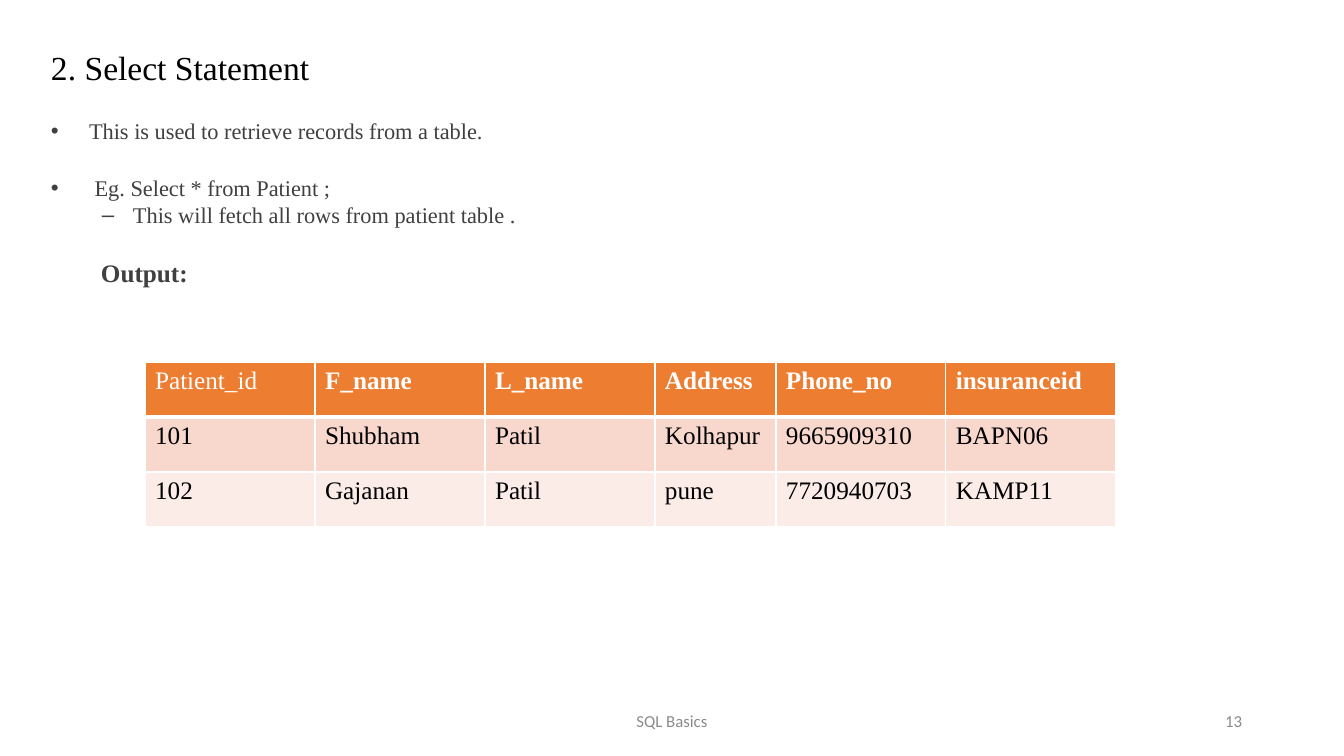
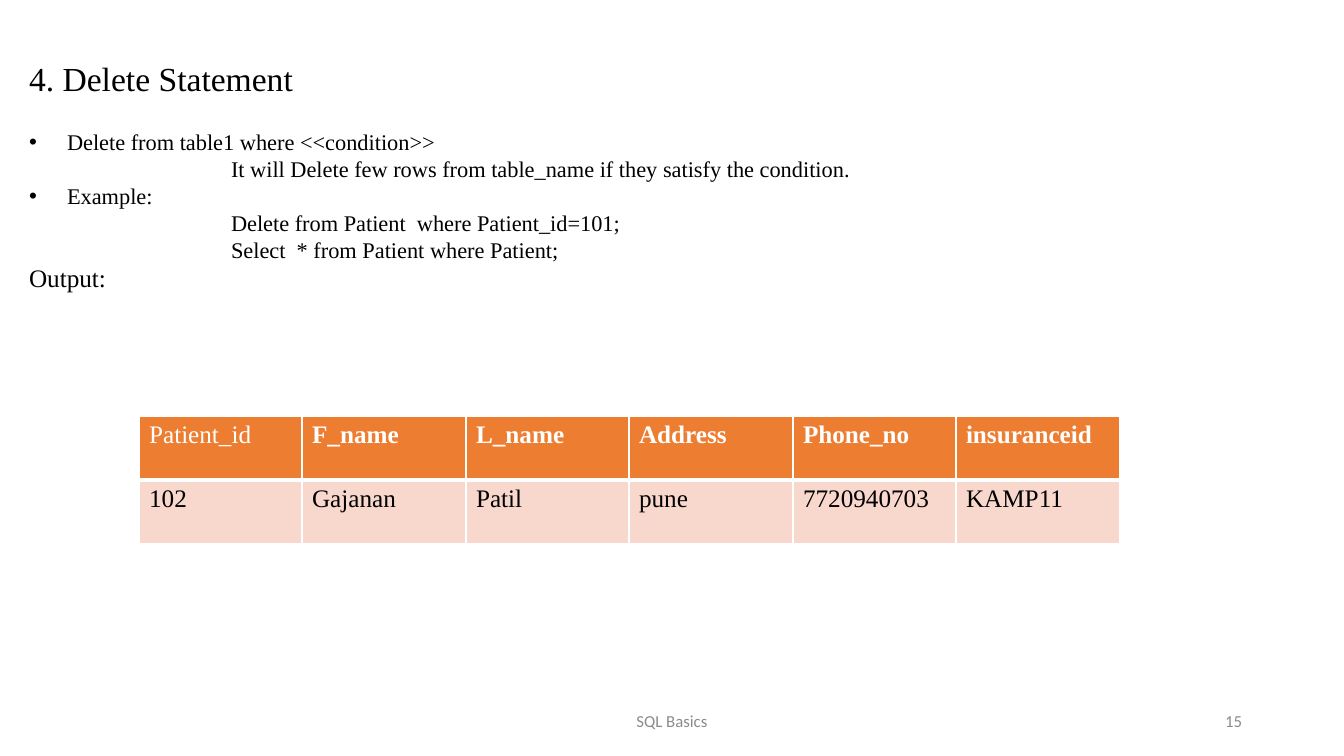
"""Build two slides on the SQL Select and Delete statements."""
from lxml import etree
from pptx import Presentation
from pptx.dml.color import RGBColor
from pptx.enum.text import MSO_ANCHOR, MSO_AUTO_SIZE, PP_ALIGN
from pptx.oxml.ns import qn
from pptx.util import Emu, Pt

LEFT, CENTER, RIGHT = PP_ALIGN.LEFT, PP_ALIGN.CENTER, PP_ALIGN.RIGHT
TOP, MIDDLE = MSO_ANCHOR.TOP, MSO_ANCHOR.MIDDLE
NO_FIT = MSO_AUTO_SIZE.NONE

EMU_PER_PX = 914400 / 100.8
SERIF, SANS = "Times New Roman", "Calibri"
COLORS = {
    "black": "000000",
    "grey": "404040",
    "footer": "8B8B8B",
    "white": "FFFFFF",
    "header": "ED7D31",
    "odd": "F8D7CD",
    "even": "FBECE7",
}
TITLE_LINE = 41
LINE_HEIGHTS = {16: 27, 18: 30}
THIN, THICK = Pt(1), Pt(3)

COLUMNS = ["Patient_id", "F_name", "L_name", "Address", "Phone_no", "insuranceid"]
SHUBHAM = ["101", "Shubham", "Patil", "Kolhapur", "9665909310", "BAPN06"]
GAJANAN = ["102", "Gajanan", "Patil", "pune", "7720940703", "KAMP11"]

# Each line: text, level, left margin, first-line indent, bulleted, space before, size, bold
STATEMENTS = [
    {
        "title": "2. Select Statement",
        "number": "13",
        "left": 51,
        "title_top": 46,
        "body_top": 117,
        "color": "grey",
        "lines": [
            ("This is used to retrieve records from a table.", 0, 38, -38, True, 0, 16, False),
            (" Eg. Select * from Patient ;", 0, 38, -38, True, 30, 16, False),
            ("This will fetch all rows from patient table .", 1, 82, -31, True, 0, 16, False),
            ("Output:", 0, 50, 0, False, 30, 18, True),
        ],
        "table_at": (145, 362),
        "widths": [170, 170, 170, 121, 170, 170],
        "row_height": 55,
        "patients": [SHUBHAM, GAJANAN],
    },
    {
        "title": "4. Delete Statement",
        "number": "15",
        "left": 29,
        "title_top": 57,
        "body_top": 128,
        "color": "black",
        "lines": [
            ("Delete from table1 where <<condition>>", 0, 38, -38, True, 0, 16, False),
            ("It will Delete few rows from table_name if they satisfy the condition.",
             0, 202, 0, False, 0, 16, False),
            ("Example:", 0, 38, -38, True, 0, 16, False),
            ("Delete from Patient  where Patient_id=101;", 0, 202, 0, False, 0, 16, False),
            ("Select  * from Patient where Patient;", 0, 202, 0, False, 0, 16, False),
            ("Output:", 0, 0, 0, False, 0, 18, False),
        ],
        "table_at": (139, 416),
        "widths": [163, 164] * 3,
        "row_height": 64,
        "patients": [GAJANAN],
    },
]
FOOTERS = [("SQL Basics", 445, 454, CENTER), ("{number}", 950, 302, RIGHT)]


def px(length):
    return Emu(round(length * EMU_PER_PX))


def style(paragraph, size, color, font=SERIF, bold=False):
    for run in paragraph.runs:
        run.font.name = font
        run.font.size = Pt(size)
        run.font.bold = bold
        run.font.color.rgb = RGBColor.from_string(COLORS[color])


deck = Presentation()
deck.slide_width, deck.slide_height = px(1344), px(756)

for statement in STATEMENTS:
    slide = deck.slides.add_slide(deck.slide_layouts[1])
    heading, points = slide.shapes.title, slide.placeholders[1]
    placements = [(heading, statement["title_top"], TITLE_LINE), (points, statement["body_top"], 220)]
    for holder, top, height in placements:
        holder.left, holder.top = px(statement["left"]), px(top)
        holder.width, holder.height = px(1190), px(height)
        frame = holder.text_frame
        frame.margin_left = frame.margin_right = frame.margin_top = frame.margin_bottom = 0
        frame.vertical_anchor = TOP
        frame.auto_size = NO_FIT

    heading.text_frame.text = statement["title"]
    title_line = heading.text_frame.paragraphs[0]
    title_line.alignment = LEFT
    title_line.line_spacing = px(TITLE_LINE)
    style(title_line, 24, "black")

    points.text_frame.text = "\n".join(line[0] for line in statement["lines"])
    for paragraph, line in zip(points.text_frame.paragraphs, statement["lines"]):
        level, margin, indent, bulleted, gap, size, bold = line[1:]
        paragraph.level = level
        paragraph.space_before = px(gap)
        paragraph.line_spacing = px(LINE_HEIGHTS[size])
        properties = paragraph._p.get_or_add_pPr()
        properties.set("marL", str(px(margin)))
        properties.set("indent", str(px(indent)))
        if not bulleted:
            etree.SubElement(properties, qn("a:buNone"))
        style(paragraph, size, statement["color"], bold=bold)

    records = [COLUMNS] + statement["patients"]
    left, top = statement["table_at"]
    row_height = statement["row_height"]
    patients = slide.shapes.add_table(
        len(records), len(COLUMNS), px(left), px(top),
        px(sum(statement["widths"])), px(row_height * len(records))).table
    patients.horz_banding = False
    for column, width in zip(patients.columns, statement["widths"]):
        column.width = px(width)
    for r, record in enumerate(records):
        patients.rows[r].height = px(row_height)
        fill = "header" if r == 0 else ("odd" if r % 2 else "even")
        for c, value in enumerate(record):
            cell = patients.cell(r, c)
            cell.text_frame.text = value
            style(cell.text_frame.paragraphs[0], 18, "black" if r else "white",
                  bold=r == 0 and c > 0)
            cell.fill.solid()
            cell.fill.fore_color.rgb = RGBColor.from_string(COLORS[fill])
            borders = {
                "a:lnL": THIN,
                "a:lnR": THIN,
                "a:lnT": THICK if r == 1 else THIN,
                "a:lnB": THICK if r == 0 else THIN,
            }
            for position, (side, weight) in enumerate(borders.items()):
                border = etree.Element(qn(side), w=str(weight))
                paint = etree.SubElement(border, qn("a:solidFill"))
                etree.SubElement(paint, qn("a:srgbClr"), val=COLORS["white"])
                cell._tc.get_or_add_tcPr().insert(position, border)

    for text, left, width, alignment in FOOTERS:
        footer = slide.shapes.add_textbox(px(left), px(701), px(width), px(40)).text_frame
        footer.word_wrap = True
        footer.vertical_anchor = MIDDLE
        footer.text = text.format(number=statement["number"])
        footer.paragraphs[0].alignment = alignment
        style(footer.paragraphs[0], 12, "footer", SANS)

deck.save("out.pptx")
